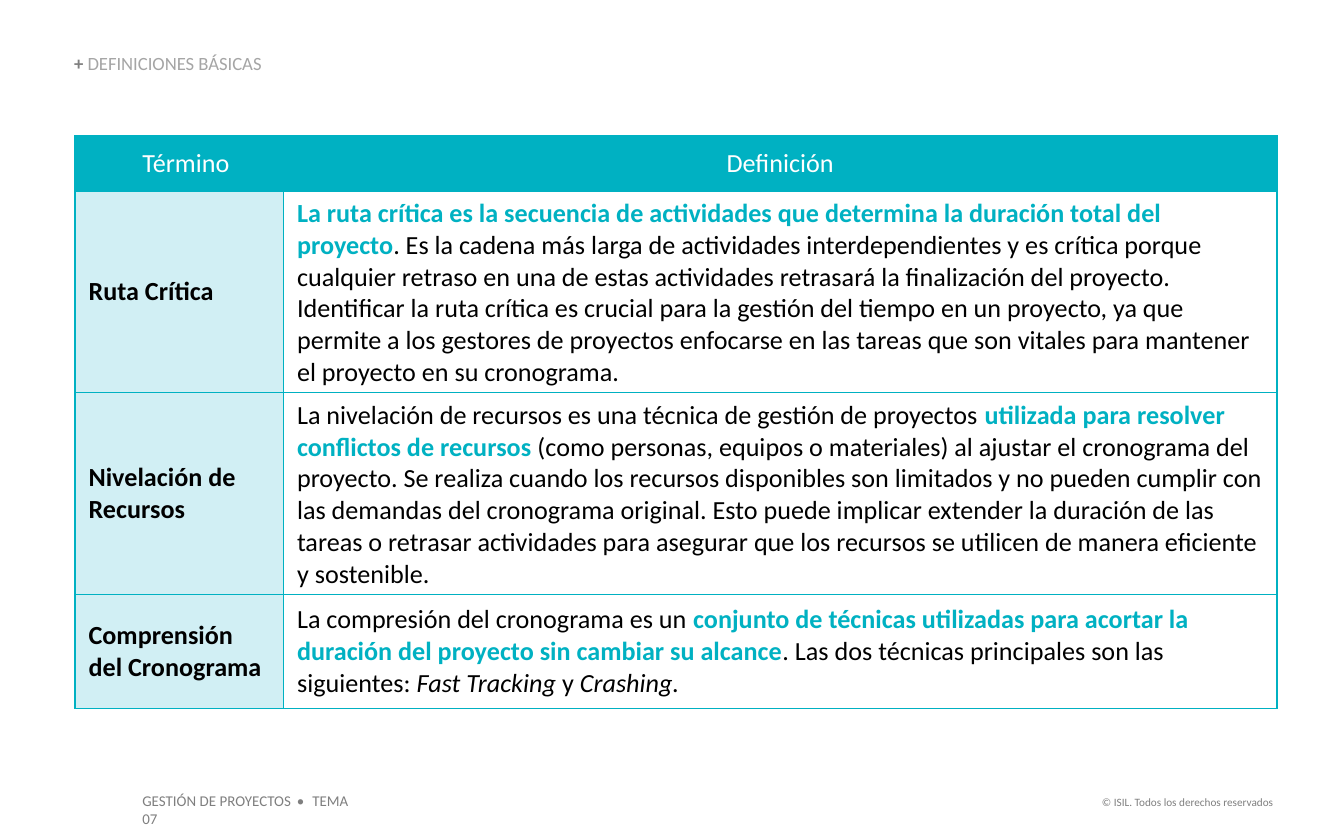
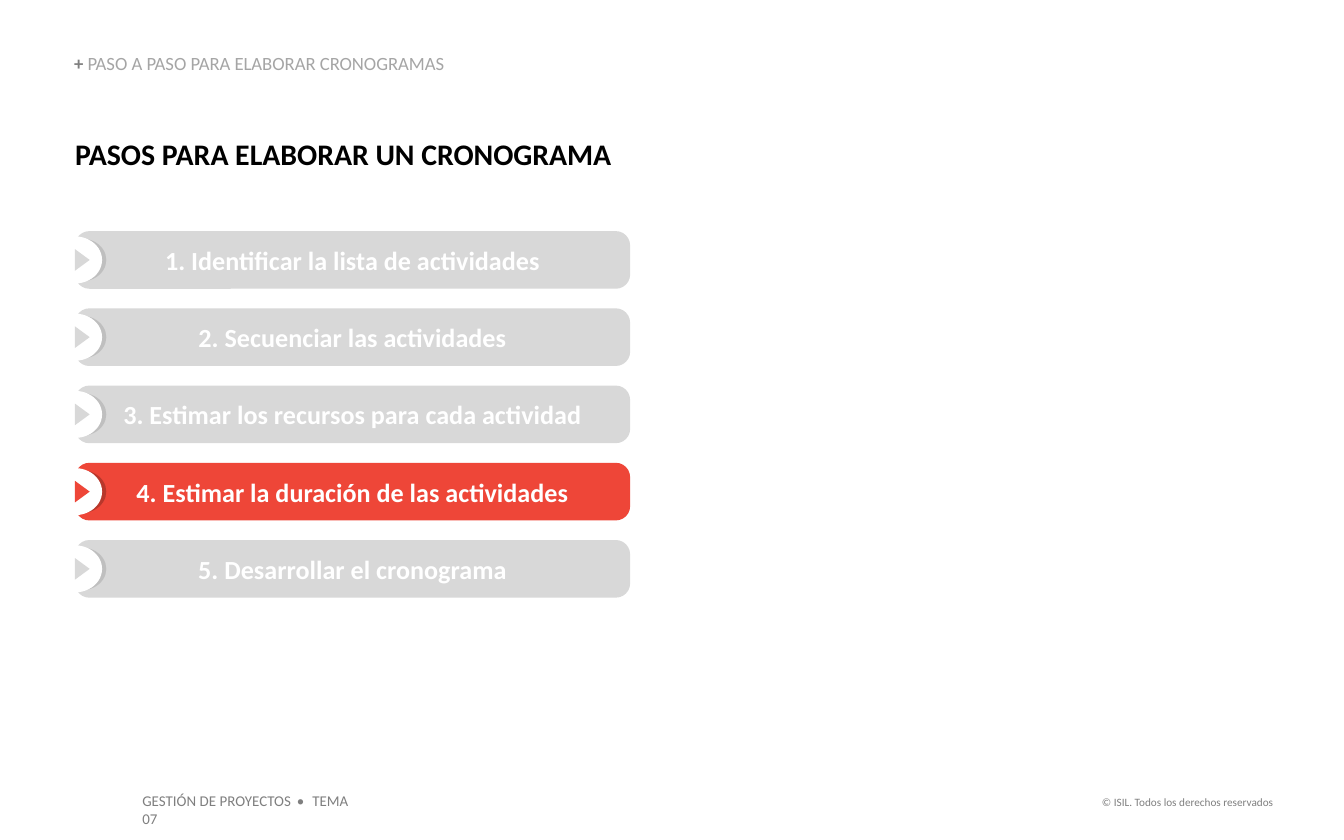
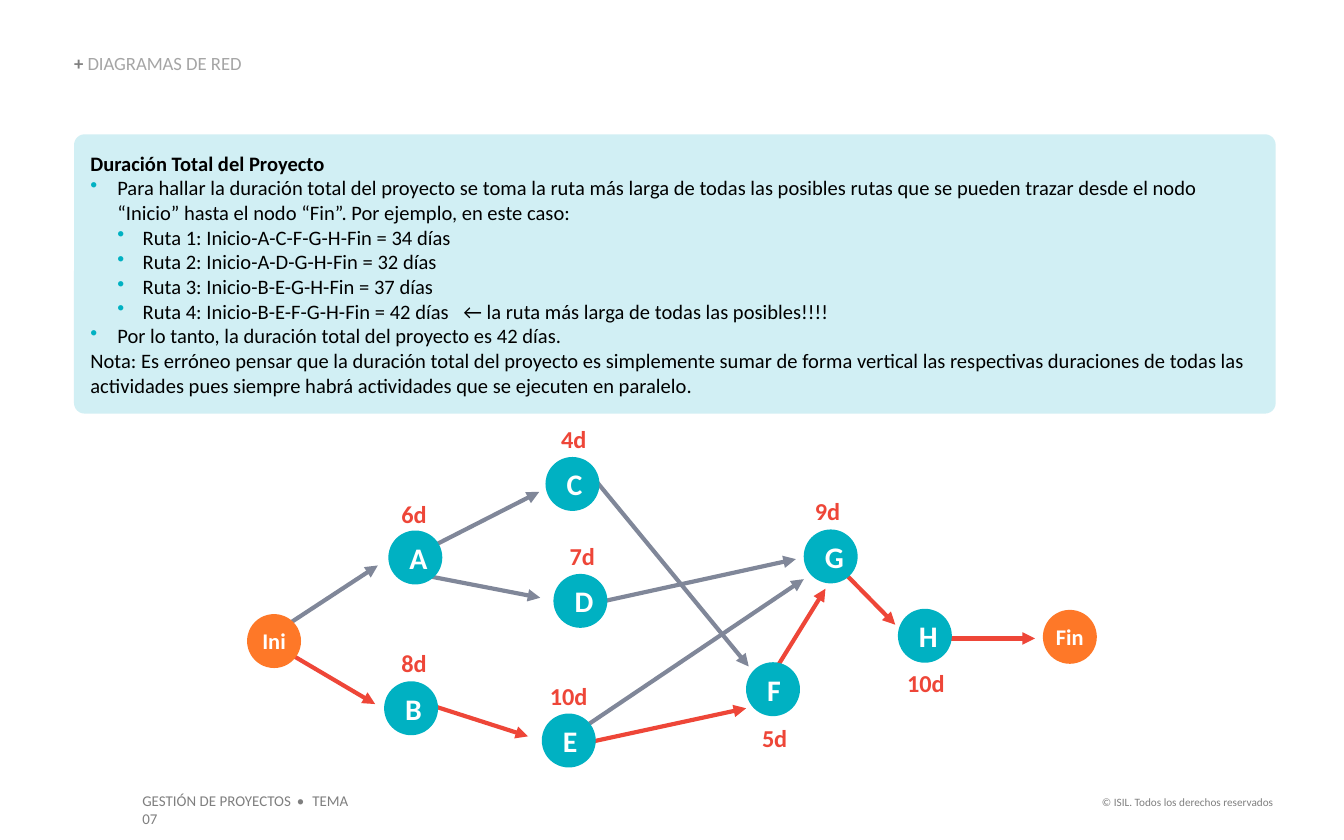
from dataclasses import dataclass
from typing import NamedTuple, Optional, Union

from lxml.etree import SubElement
from pptx import Presentation
from pptx.dml.color import RGBColor
from pptx.enum.shapes import MSO_CONNECTOR, MSO_SHAPE as SHAPE
from pptx.enum.text import MSO_ANCHOR as ANCHOR, MSO_AUTO_SIZE as AUTO, PP_ALIGN as ALIGN
from pptx.oxml.ns import qn
from pptx.util import Cm, Pt

FONT = "Calibri"
COLORS = {
    "teal": "00B1C2", "pale": "D1EFF4", "red": "EE4638", "dark_red": "B8372B",
    "orange": "FE7828", "slate": "808799", "white": "FFFFFF", "black": "000000",
    "gray": "7F7F7F", "heading": "A5A5A5", "silver": "D8D8D8", "dark_silver": "BFBFBF",
}
NO_INSET = (0, 0, 0, 0)
INSET = (0.25, 0.13, 0.25, 0.13)


class Box(NamedTuple):
    x: float
    y: float
    w: float
    h: float


class Run(NamedTuple):
    text: str
    color: Optional[str] = None
    bold: Optional[bool] = None
    italic: bool = False
    spacing: float = 0


@dataclass
class Para:
    runs: list[Union[str, Run]]
    left: float = 0
    indent: float = 0
    bullet: bool = False


class Node(NamedTuple):
    name: str
    x: float
    y: float


class Duration(NamedTuple):
    text: str
    x: float
    y: float
    w: float = 0.97
    fill: Optional[str] = "white"


class Edge(NamedTuple):
    x1: float
    y1: float
    x2: float
    y2: float


def rgb(name: str) -> RGBColor:
    return RGBColor.from_string(COLORS[name])


def key(text: str) -> Run:
    """Highlighted phrase inside a definition."""
    return Run(text, color="teal", bold=True)


def write(tf, *paras, size=14, color="black", bold=False, align=ALIGN.LEFT,
          line_spacing=None) -> None:
    """Fill a text frame with strings or Para items in one common format."""
    for i, para in enumerate(paras):
        para = Para([para]) if isinstance(para, str) else para
        p = tf.paragraphs[0] if i == 0 else tf.add_paragraph()
        p.alignment = align
        if line_spacing:
            p.line_spacing = line_spacing
        pPr = p._p.get_or_add_pPr()
        if para.left or para.indent:
            pPr.set("marL", str(Cm(para.left)))
            pPr.set("indent", str(Cm(para.indent)))
        if para.bullet:
            SubElement(SubElement(pPr, qn("a:buClr")), qn("a:srgbClr"), val=COLORS["teal"])
            SubElement(pPr, qn("a:buChar"), char="•")
        for item in para.runs:
            run = Run(item) if isinstance(item, str) else item
            r = p.add_run()
            r.text = run.text
            r.font.name, r.font.size = FONT, Pt(size)
            r.font.bold = bold if run.bold is None else run.bold
            r.font.italic = run.italic
            r.font.color.rgb = rgb(run.color or color)
            if run.spacing:
                r._r.get_or_add_rPr().set("spc", str(round(run.spacing * 100)))


def set_frame(tf, inset=INSET, anchor=ANCHOR.TOP, grow=False) -> None:
    tf.word_wrap = True
    tf.auto_size = AUTO.SHAPE_TO_FIT_TEXT if grow else AUTO.NONE
    tf.vertical_anchor = anchor
    tf.margin_left, tf.margin_top, tf.margin_right, tf.margin_bottom = map(Cm, inset)


def add_text(s, box: Box, *paras, inset=INSET, **fmt) -> None:
    tf = s.shapes.add_textbox(*map(Cm, box)).text_frame
    set_frame(tf, inset, grow=True)
    write(tf, *paras, **fmt)


def add_shape(s, kind, box: Box, fill: Optional[str], *paras, line=None, adj=None,
              inset=INSET, **fmt):
    sp = s.shapes.add_shape(kind, *map(Cm, box))
    sp.shadow.inherit = False
    if fill:
        sp.fill.solid()
        sp.fill.fore_color.rgb = rgb(fill)
    else:
        sp.fill.background()
    if line:
        sp.line.color.rgb, sp.line.width = rgb(line), Pt(2)
    else:
        sp.line.fill.background()
    if adj is not None:
        sp.adjustments[0] = adj
    if paras:
        set_frame(sp.text_frame, inset, ANCHOR.MIDDLE)
        write(sp.text_frame, *paras, **fmt)
    return sp


def add_arrow(s, edge: Edge, color: str) -> None:
    cxn = s.shapes.add_connector(MSO_CONNECTOR.STRAIGHT, *map(Cm, edge))
    cxn.line.color.rgb, cxn.line.width = rgb(color), Pt(2.25)
    spPr = cxn._element.spPr
    SubElement(spPr.find(qn("a:ln")), qn("a:tailEnd"), type="triangle")
    SubElement(spPr, qn("a:effectLst"))


def add_slide(prs, heading: str, heading_width=8.48):
    """Start a slide with the shared heading and footers."""
    s = prs.slides.add_slide(prs.slide_layouts[5])
    title = s.shapes.title
    title.left, title.top, title.width, title.height = map(Cm, (1.4, 1.04, heading_width, 0.38))
    set_frame(title.text_frame, NO_INSET, ANCHOR.BOTTOM, grow=True)
    write(title.text_frame, Para([Run("+ ", "gray", True), heading]),
          size=10, color="heading", line_spacing=0.9)
    add_text(s, Box(20.09, 14.91, 4.22, 0.51), "© ISIL. Todos los derechos reservados",
             size=6, color="gray", align=ALIGN.RIGHT)
    add_text(s, Box(2.44, 14.83, 4.83, 0.61),
             Para(["GESTIÓN DE PROYECTOS", Run(" • ", spacing=1.2), "TEMA 07"]),
             inset=(0.25, 0.13, 0.6, 0.13), size=8, color="gray")
    return s


DEFINITIONS = [
    ("Ruta Crítica", [
        key("La ruta crítica es la secuencia de actividades que determina la duración total "
            "del proyecto"),
        ". Es la cadena más larga de actividades interdependientes y es crítica porque "
        "cualquier retraso en una de estas actividades retrasará la finalización del proyecto. "
        "Identificar la ruta crítica es crucial para la gestión del tiempo en un proyecto, ya "
        "que permite a los gestores de proyectos enfocarse en las tareas que son vitales para "
        "mantener el proyecto en su cronograma."]),
    ("Nivelación de Recursos", [
        "La nivelación de recursos es una técnica de gestión de proyectos ",
        key("utilizada para resolver conflictos de recursos "),
        "(como personas, equipos o materiales) al ajustar el cronograma del proyecto. Se "
        "realiza cuando los recursos disponibles son limitados y no pueden cumplir con las "
        "demandas del cronograma original. Esto puede implicar extender la duración de las "
        "tareas o retrasar actividades para asegurar que los recursos se utilicen de manera "
        "eficiente y sostenible."]),
    ("Comprensión del Cronograma", [
        "La compresión del cronograma es un ",
        key("conjunto de técnicas utilizadas para acortar la duración del proyecto sin cambiar "
            "su alcance"),
        ". Las dos técnicas principales son las siguientes: ",
        Run("Fast Tracking ", italic=True), "y ", Run("Crashing.", italic=True)]),
]


def format_cell(cell, fill: str, para, **fmt) -> None:
    cell.vertical_anchor = ANCHOR.MIDDLE
    tcPr = cell._tc.get_or_add_tcPr()
    for side in ("lnL", "lnR", "lnT", "lnB"):
        ln = SubElement(tcPr, qn(f"a:{side}"), w=str(Pt(1)))
        SubElement(SubElement(ln, qn("a:solidFill")), qn("a:srgbClr"), val=COLORS["teal"])
    cell.fill.solid()
    cell.fill.fore_color.rgb = rgb(fill)
    write(cell.text_frame, para, **fmt)


def build_definitions(prs) -> None:
    s = add_slide(prs, "DEFINICIONES BÁSICAS", 6.76)
    widths, heights = (3.94, 18.77), (1.04, 2.84, 2.84, 2.16)
    table = s.shapes.add_table(len(heights), len(widths), Cm(1.42), Cm(2.57),
                               Cm(sum(widths)), Cm(sum(heights))).table
    table.first_row = table.horz_banding = False
    for column, width in zip(table.columns, widths):
        column.width = Cm(width)
    for row, height in zip(table.rows, heights):
        row.height = Cm(height)
    for col, para in enumerate((Para(["Término"], indent=0.25), "Definición")):
        format_cell(table.cell(0, col), "teal", para, color="white", align=ALIGN.CENTER)
    for row, (term, definition) in enumerate(DEFINITIONS, 1):
        format_cell(table.cell(row, 0), "pale", term, bold=True)
        format_cell(table.cell(row, 1), "white", Para(definition))


STEPS = ["Identificar la lista de actividades", "Secuenciar las actividades",
         "Estimar los recursos para cada actividad", "Estimar la duración de las actividades",
         "Desarrollar el cronograma"]
CURRENT_STEP = 4


def add_step(s, number: int, text: str) -> None:
    height = 1.09
    top = 4.37 + 1.46 * (number - 1)
    fill, shade = ("red", "dark_red") if number == CURRENT_STEP else ("silver", "dark_silver")

    def centred(x: float, w: float, h: float) -> Box:
        return Box(x, top + (height - h) / 2, w, h)

    add_shape(s, SHAPE.ROUNDED_RECTANGLE, centred(1.42, 10.49, height), fill,
              f"{number}. {text}", adj=0.248, color="white", bold=True, align=ALIGN.CENTER)
    add_shape(s, SHAPE.OVAL, centred(1.07, 0.94, 0.81), shade)
    add_shape(s, SHAPE.OVAL, centred(0.91, 1.02, 0.89), "white")
    add_shape(s, SHAPE.ISOSCELES_TRIANGLE, centred(1.35, 0.41, 0.28), fill).rotation = 90


def build_steps(prs) -> None:
    s = add_slide(prs, "PASO A PASO PARA ELABORAR CRONOGRAMAS")
    add_text(s, Box(1.42, 2.57, 20.45, 0.69), "PASOS PARA ELABORAR UN CRONOGRAMA",
             inset=NO_INSET, size=16, bold=True)
    for number, text in enumerate(STEPS, 1):
        add_step(s, number, text)


ACTIVITIES = [
    Node("C", 10.31, 8.64), Node("A", 7.34, 10.03), Node("D", 10.46, 10.85),
    Node("B", 7.26, 12.88), Node("E", 10.24, 13.49), Node("F", 14.1, 12.52),
    Node("G", 15.19, 10.01), Node("H", 16.97, 11.51),
]
ENDS = [Node("Ini", 4.67, 11.61), Node("Fin", 19.71, 11.53)]
DURATIONS = [
    Duration("6d", 7.34, 9.22), Duration("4d", 10.36, 7.82), Duration("7d", 10.52, 10.03),
    Duration("9d", 15.21, 9.17, 0.86), Duration("8d", 7.34, 12.04),
    Duration("10d", 10.26, 12.67), Duration("5d", 13.69, 13.46, 1.9, None),
    Duration("10d", 17.07, 12.42, 0.86),
]
EDGES = {
    "red": [
        Edge(5.41, 12.32, 7.09, 13.31), Edge(8.08, 13.31, 9.98, 13.92),
        Edge(11.05, 14.05, 14.1, 13.39), Edge(14.66, 12.65, 15.6, 11.13),
        Edge(15.82, 10.69, 16.92, 11.81), Edge(17.68, 12.07, 19.56, 12.07),
    ],
    "slate": [
        Edge(5.31, 11.89, 7.14, 10.69), Edge(8.15, 10.34, 10.19, 9.3),
        Edge(7.98, 10.87, 10.21, 11.3), Edge(11.05, 13.74, 15.19, 10.95),
        Edge(11.25, 11.4, 15.04, 10.57), Edge(11.18, 8.99, 14.15, 12.6),
    ],
}


def point(*runs) -> Para:
    return Para(list(runs), 0.51, -0.51, True)


def route(*runs) -> Para:
    return Para(list(runs), 0.99, -0.48, True)


EXPLANATION = [
    Para([Run("Duración Total del Proyecto", bold=True)]),
    point("Para hallar la duración total del proyecto se toma la ruta más larga de todas las "
          "posibles rutas que se pueden trazar desde el nodo “Inicio” hasta el nodo “Fin”. "
          "Por ejemplo, en este caso:"),
    route("Ruta 1: Inicio-A-C-F-G-H-Fin = 34 días"),
    route("Ruta 2: Inicio-A-D-G-H-Fin = 32 días"),
    route("Ruta 3: Inicio-B-E-G-H-Fin = 37 días"),
    route("Ruta 4: Inicio-B-E-F-G-H-Fin = 42 días", Run(" ", spacing=5),
          "← la ruta más larga de todas las posibles!!!!"),
    point("Por lo tanto, la duración total del proyecto es 42 días."),
    "Nota: Es erróneo pensar que la duración total del proyecto es simplemente sumar de forma "
    "vertical las respectivas duraciones de todas las actividades pues siempre habrá "
    "actividades que se ejecuten en paralelo.",
]


def add_node(s, node: Node, fill: str, size: int, inset) -> None:
    add_shape(s, SHAPE.OVAL, Box(node.x, node.y, 1.02, 1.02), fill, node.name, inset=inset,
              size=size, color="white", bold=True, align=ALIGN.CENTER)


def build_network(prs) -> None:
    s = add_slide(prs, "DIAGRAMAS DE RED")
    for d in DURATIONS:
        add_shape(s, SHAPE.RECTANGLE, Box(d.x, d.y, d.w, 0.97), d.fill, d.text, line="white",
                  inset=NO_INSET, size=13, color="red", bold=True, align=ALIGN.CENTER)
    for color, edges in EDGES.items():
        for edge in edges:
            add_arrow(s, edge, color)
    for node in ACTIVITIES:
        add_node(s, node, "teal", 16, INSET)
    for node in ENDS:
        add_node(s, node, "orange", 12, NO_INSET)
    add_shape(s, SHAPE.ROUNDED_RECTANGLE, Box(1.4, 2.54, 22.71, 5.28), "pale", *EXPLANATION,
              adj=0.038, size=11)


def main() -> None:
    prs = Presentation()
    prs.slide_width, prs.slide_height = Cm(25.4), Cm(15.88)
    build_definitions(prs)
    build_steps(prs)
    build_network(prs)
    prs.save("out.pptx")


if __name__ == "__main__":
    main()
